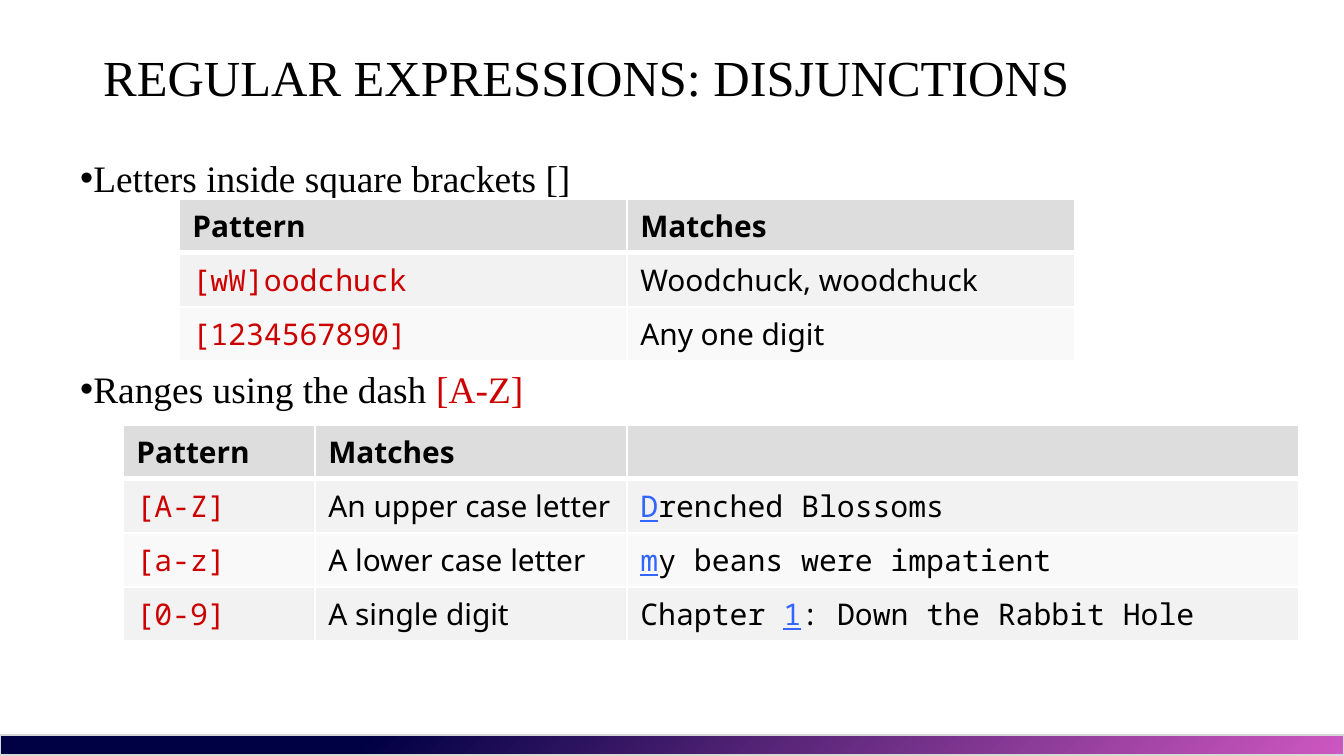
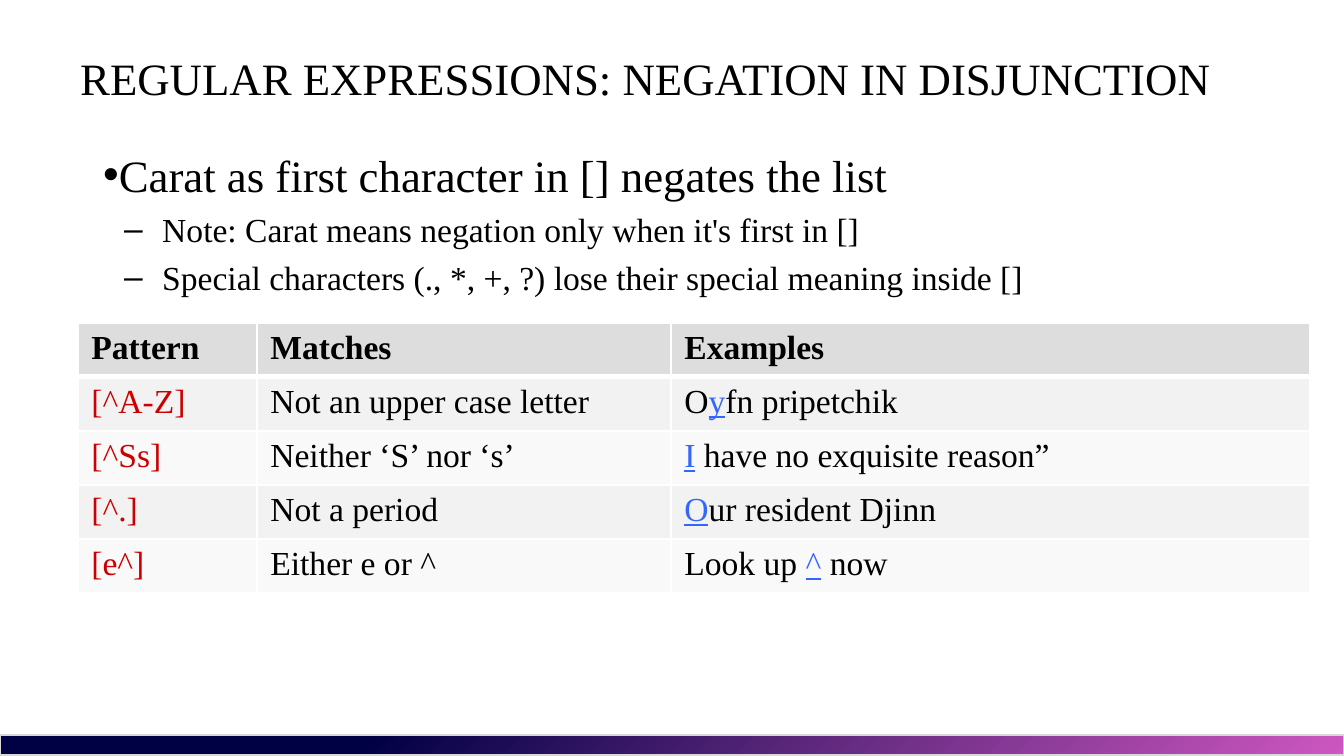
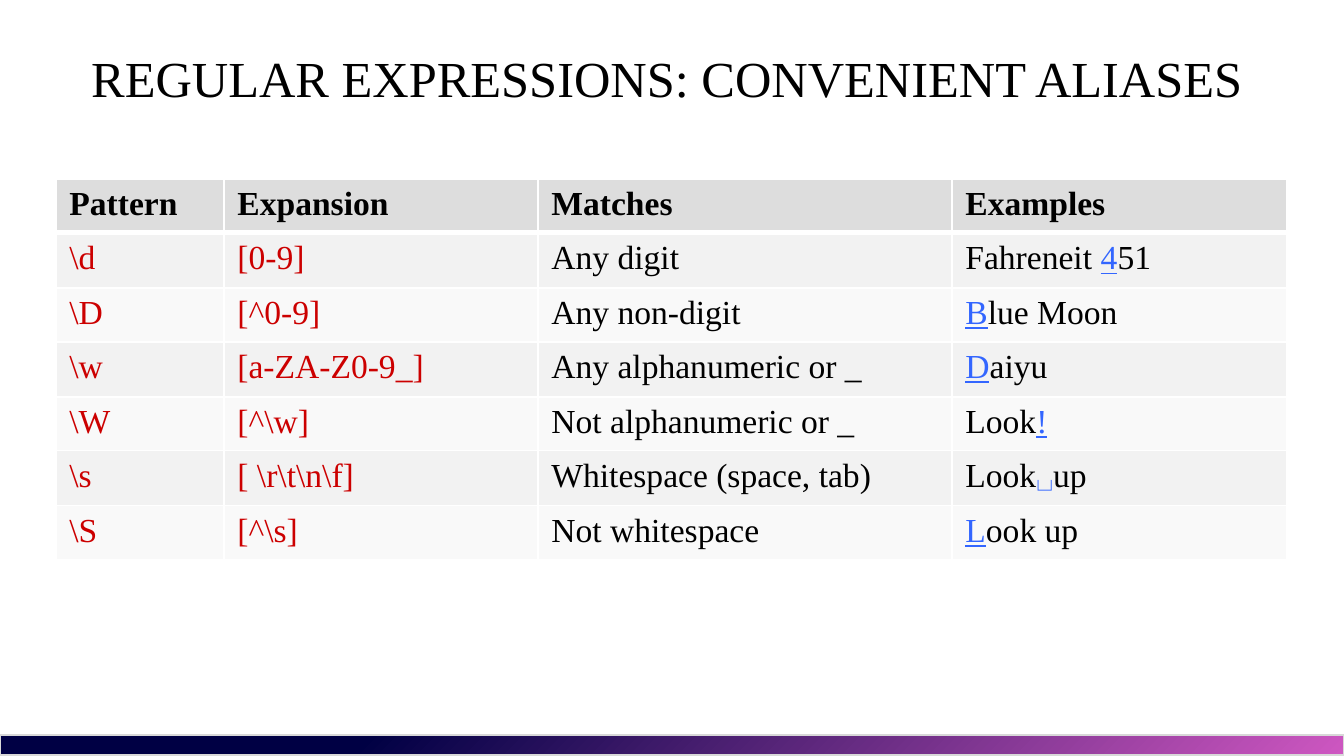
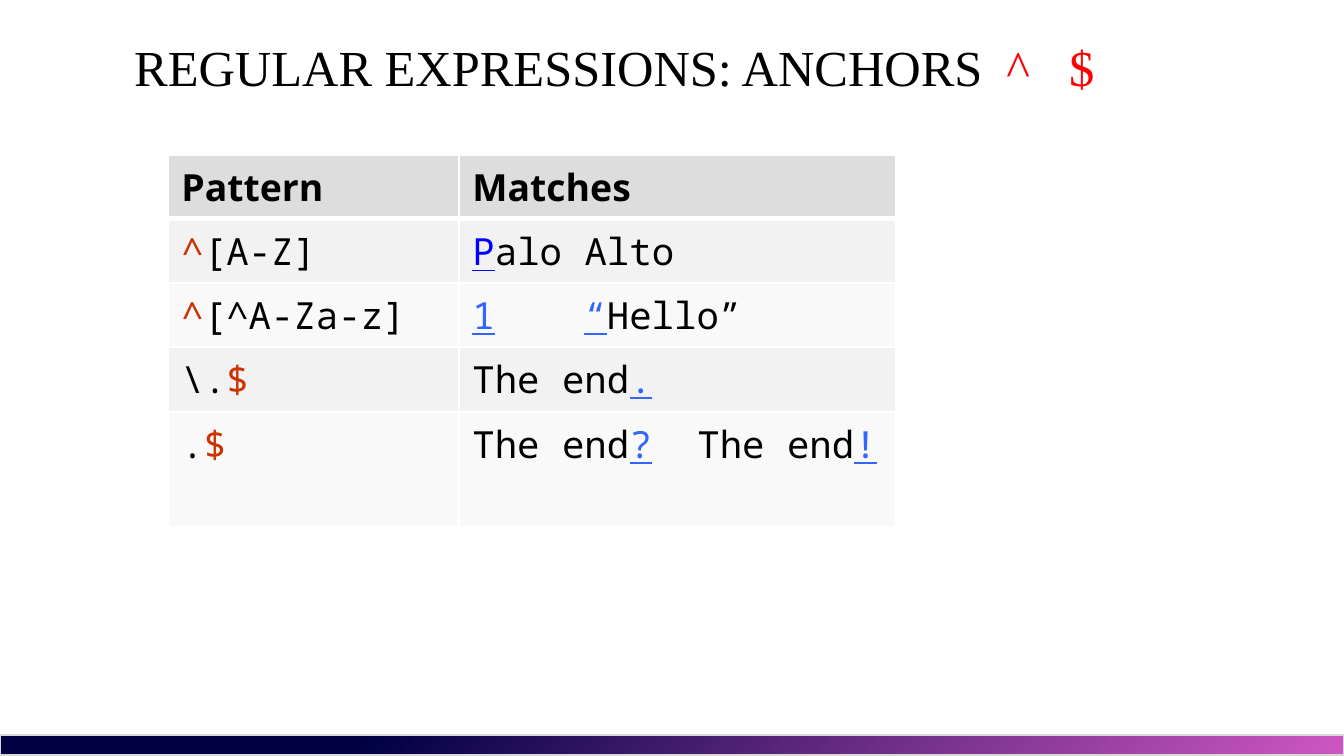
from lxml import etree
from pptx import Presentation
from pptx import util as u
from pptx.dml.color import RGBColor
from pptx.enum import shapes, text
from pptx.oxml.ns import qn


class Theme:
    serif, sans, mono = "Times New Roman", "Noto Sans", "Noto Sans Mono"
    title, title_small = 27, 24
    header_fill, row_fills, rule = "DDDDDD", ("F2F2F2", "F9F9F9"), "FFFFFF"
    band_from, band_to, band_line = "000044", "CE57C1", "D8D8D8"
    # run style: colour, underlined
    runs = {
        "plain": ("000000", False),
        "pattern": ("CC0000", False),
        "anchor": ("CC3300", False),
        "alert": ("FF0000", False),
        "hit": ("3366FF", True),
        "first_hit": ("0000FF", True),
        "space": ("3365FF", False),
    }


PX = 914400 / 134.4  # EMU in one px


def px(*lengths):
    return [u.Emu(round(n * PX)) for n in lengths]


def add_runs(p, runs, font, size, style="plain", bold=False, tabs=()):
    """Add runs, each a string in the default style or a (string, style) pair."""
    if tabs:
        tab_list = etree.SubElement(p._p.get_or_add_pPr(), qn("a:tabLst"))
        for pos in px(*tabs):
            etree.SubElement(tab_list, qn("a:tab"), pos=str(pos), algn="l")
    for run in runs:
        words, name = (run, style) if isinstance(run, str) else run
        colour, underline = Theme.runs[name]
        r = p.add_run()
        r.text = words
        r.font.name, r.font.size, r.font.bold = font, u.Pt(size), bold
        r.font.underline = underline
        r.font.color.rgb = RGBColor.from_string(colour)


# Column kinds: font and default run style
SANS = (Theme.sans, "plain")
MONO = (Theme.mono, "plain")
MONO_PATTERN = (Theme.mono, "pattern")
SERIF = (Theme.serif, "plain")
SERIF_PATTERN = (Theme.serif, "pattern")

# Content. Bullets: runs, size, margin, hanging indent, mark, space before.
# A cell is a list of runs; "tabs" gives tab stops by (row, column).
slides = [
    dict(
        title=["REGULAR EXPRESSIONS: DISJUNCTIONS"],
        title_box=(90, 32, 1109, 89), title_size=Theme.title,
        body_box=(67, 149, 1145, 553),
        bullets=[
            (["Letters inside square brackets []"], 20, 1, 1, "•", 0),
            (["Ranges using the dash ", ("[A-Z]", "pattern")], 20, 1, 1, "•", 89),
        ],
        tables=[
            dict(at=(179, 199), cols=(448, 448), rows=(54,) * 3, size=16,
                 head_font=Theme.sans, kinds=(MONO_PATTERN, SANS),
                 cells=[
                     [["Pattern"], ["Matches"]],
                     [["[wW]oodchuck"], ["Woodchuck, woodchuck"]],
                     [["[1234567890]"], ["Any one digit"]],
                 ]),
            dict(at=(123, 425), cols=(192, 312, 672), rows=(54,) * 4, size=16,
                 head_font=Theme.sans, kinds=(MONO_PATTERN, SANS, MONO),
                 cells=[
                     [["Pattern"], ["Matches"], []],
                     [["[A-Z]"], ["An upper case letter"],
                      [("D", "hit"), "renched Blossoms"]],
                     [["[a-z]"], ["A lower case letter"],
                      [("m", "hit"), "y beans were impatient"]],
                     [["[0-9]"], ["A single digit"],
                      ["Chapter ", ("1", "hit"), ": Down the Rabbit Hole"]],
                 ]),
        ],
    ),
    dict(
        title=["REGULAR EXPRESSIONS: NEGATION IN DISJUNCTION"],
        title_box=(67, 23, 1277, 109), title_size=Theme.title_small,
        body_box=(90, 141, 1120, 607),
        bullets=[
            (["Carat as first character in [] negates the list"], 24, 1, 1, "•", 0),
            (["Note: Carat means negation only when it's first in []"],
             18, 59, 38, "–", 4),
            (["Special characters (., *, +, ?) lose their special meaning inside []"],
             18, 59, 38, "–", 4),
        ],
        tables=[
            dict(at=(78, 323), cols=(179, 414, 639), rows=(54,) * 5, size=18,
                 head_font=Theme.serif, kinds=(SERIF_PATTERN, SERIF, SERIF),
                 cells=[
                     [["Pattern"], ["Matches"], ["Examples"]],
                     [["[^A-Z]"], ["Not an upper case letter"],
                      ["O", ("y", "hit"), "fn pripetchik"]],
                     [["[^Ss]"], ["Neither ‘S’ nor ‘s’"],
                      [("I", "hit"), " have no exquisite reason”"]],
                     [["[^.]"], ["Not a period"],
                      [("O", "hit"), "ur resident Djinn"]],
                     [["[e^]"], ["Either e or ^"],
                      ["Look up ", ("^", "hit"), " now"]],
                 ]),
        ],
    ),
    dict(
        title=["REGULAR EXPRESSIONS: CONVENIENT ALIASES"],
        title_box=(78, 23, 1266, 109), title_size=Theme.title,
        tables=[
            dict(at=(56, 179), cols=(168, 314, 414, 335),
                 rows=(54, 55, 50, 55, 54, 55, 54), size=18,
                 head_font=Theme.serif,
                 kinds=(SERIF_PATTERN, SERIF_PATTERN, SERIF, SERIF),
                 cells=[
                     [["Pattern"], ["Expansion"], ["Matches"], ["Examples"]],
                     [[r"\d"], ["[0-9]"], ["Any digit"],
                      ["Fahreneit ", ("4", "hit"), "51"]],
                     [[r"\D"], ["[^0-9]"], ["Any non-digit"],
                      [("B", "hit"), "lue Moon"]],
                     [[r"\w"], ["[a-ZA-Z0-9_]"], ["Any alphanumeric or _"],
                      [("D", "hit"), "aiyu"]],
                     [[r"\W"], [r"[^\w]"], ["Not alphanumeric or _"],
                      ["Look", ("!", "hit")]],
                     [[r"\s"], [r"[ \r\t\n\f]"], ["Whitespace (space, tab)"],
                      ["Look", ("␣", "space"), "up"]],
                     [[r"\S"], [r"[^\s]"], ["Not whitespace"],
                      [("L", "hit"), "ook up"]],
                 ]),
        ],
    ),
    dict(
        title=["REGULAR EXPRESSIONS: ANCHORS\t", ("^\t$", "alert")],
        title_box=(121, 17, 1109, 99), title_size=Theme.title,
        title_tabs=(872, 935),
        tables=[
            dict(at=(168, 155), cols=(291, 437), rows=(64, 64, 64, 65, 115), size=20,
                 head_font=Theme.sans, kinds=(MONO, MONO),
                 tabs={(2, 1): (112,), (4, 1): (225,)},
                 cells=[
                     [["Pattern"], ["Matches"]],
                     [[("^", "anchor"), "[A-Z]"], [("P", "first_hit"), "alo Alto"]],
                     [[("^", "anchor"), "[^A-Za-z]"],
                      [("1", "hit"), "\t", ("“", "hit"), "Hello”"]],
                     [[r"\.", ("$", "anchor")], ["The end", (".", "hit")]],
                     [[".", ("$", "anchor")],
                      ["The end", ("?", "hit"), "\t", "The end", ("!", "hit")]],
                 ]),
        ],
    ),
]

prs = Presentation()
prs.slide_width, prs.slide_height = px(1344, 756)

for item in slides:
    s = prs.slides.add_slide(prs.slide_layouts[6])

    # Bottom band
    band = s.shapes.add_shape(shapes.MSO_SHAPE.RECTANGLE, *px(0, 735, 1344, 20))
    band.rotation = 180
    band.shadow.inherit = False
    band.fill.gradient()
    band.fill.gradient_angle = 135
    ends = ((0.27, Theme.band_from), (1, Theme.band_to))
    for stop, (position, colour) in zip(band.fill.gradient_stops, ends):
        stop.position = position
        stop.color.rgb = RGBColor.from_string(colour)
    band.line.color.rgb = RGBColor.from_string(Theme.band_line)
    band.line.width = u.Pt(0.75)

    # Bullets
    if "bullets" in item:
        tf = s.shapes.add_textbox(*px(*item["body_box"])).text_frame
        tf.word_wrap = True
        for i, (runs, size, margin, hang, mark, gap) in enumerate(item["bullets"]):
            p = tf.add_paragraph() if i else tf.paragraphs[0]
            if gap:
                p.space_before = u.Pt(gap)
            pPr = p._p.get_or_add_pPr()
            left, indent = px(margin, -hang)
            pPr.set("marL", str(left))
            pPr.set("indent", str(indent))
            etree.SubElement(pPr, qn("a:buFont"), typeface="Arial")
            etree.SubElement(pPr, qn("a:buChar"), char=mark)
            add_runs(p, runs, Theme.serif, size)

    # Title
    tf = s.shapes.add_textbox(*px(*item["title_box"])).text_frame
    tf.word_wrap = True
    tf.vertical_anchor = text.MSO_ANCHOR.MIDDLE
    add_runs(tf.paragraphs[0], item["title"], Theme.serif, item["title_size"],
             tabs=item.get("title_tabs", ()))

    # Tables
    for t in item["tables"]:
        rows, cols = t["rows"], t["cols"]
        table = s.shapes.add_table(
            len(rows), len(cols), *px(*t["at"], sum(cols), sum(rows))).table
        for column, width in zip(table.columns, px(*cols)):
            column.width = width
        for row, height in zip(table.rows, px(*rows)):
            row.height = height
        for i, line in enumerate(t["cells"]):
            for j, runs in enumerate(line):
                cell = table.cell(i, j)
                tcPr = cell._tc.get_or_add_tcPr()
                widths = dict(lnL=1, lnR=1, lnT=3 if i == 1 else 1,
                              lnB=3 if i == 0 else 1)
                for side, width in widths.items():
                    ln = etree.SubElement(tcPr, qn("a:" + side), w=str(u.Pt(width)))
                    fill = etree.SubElement(ln, qn("a:solidFill"))
                    etree.SubElement(fill, qn("a:srgbClr"), val=Theme.rule)
                cell.fill.solid()
                cell.fill.fore_color.rgb = RGBColor.from_string(
                    Theme.row_fills[(i - 1) % 2] if i else Theme.header_fill)
                font, style = t["kinds"][j] if i else (t["head_font"], "plain")
                add_runs(cell.text_frame.paragraphs[0], runs, font, t["size"], style,
                         bold=i == 0, tabs=t.get("tabs", {}).get((i, j), ()))

prs.save("out.pptx")
